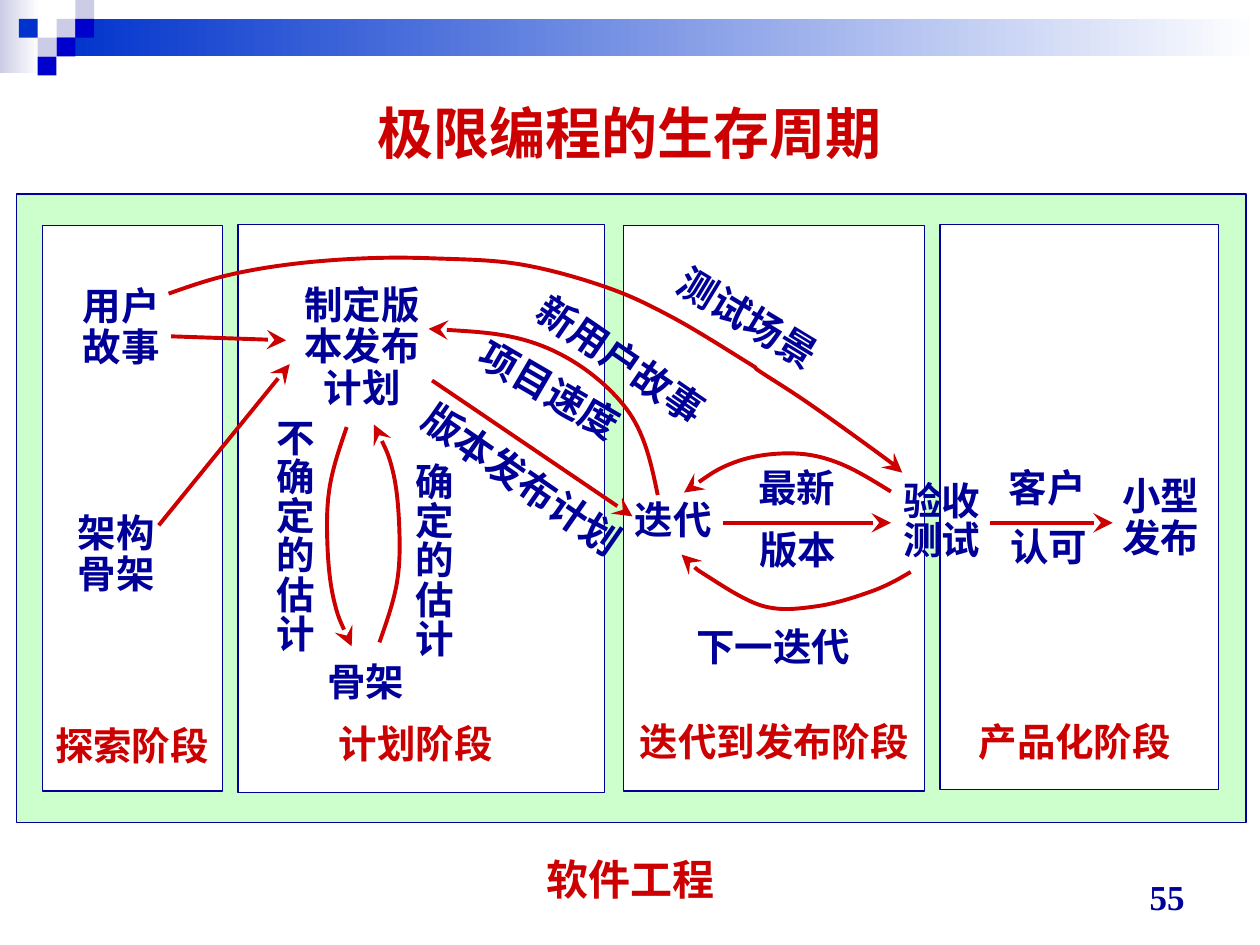
from dataclasses import dataclass

from lxml import etree
from pptx import Presentation
from pptx import util as u
from pptx.dml.color import RGBColor
from pptx.enum import shapes, text
from pptx.oxml.ns import qn


@dataclass(frozen=True)
class Theme:
    red: str = "CC0000"
    navy: str = "000099"
    green: str = "CCFFCC"
    white: str = "FFFFFF"
    lavender: str = "CCCCE6"
    blue: str = "0000CC"
    band: str = "0033CC"
    font: str = "Arial"
    alt_font: str = "Cabin"
    number_font: str = "Times New Roman"
    title: int = 32
    label: int = 22
    footer: int = 24
    number: int = 20
    border: float = 0.75
    arrow: float = 2.25


THEME = Theme()
CELL = 0.38
LINE_H = 1.04

PHASE_BOXES = [
    (4.8, 4.52, 7.39, 11.46), (0.86, 4.55, 3.63, 11.4),
    (12.57, 4.55, 6.07, 11.4), (18.95, 4.52, 5.61, 11.4),
]
PHASE_NAMES = [
    ("探索阶段", 0.86, 14.58, 3.91), ("计划阶段", 6.58, 14.53, 3.91),
    ("迭代到发布阶段", 12.65, 14.5, 6.45), ("产品化阶段", 19.48, 14.5, 4.8),
]
TWO_LINE_STEPS = [
    (["用户", "故事"], 1.42, 5.66), (["架构", "骨架"], 1.32, 10.24),
    (["小型", "发布"], 22.38, 9.5),
]
STEPS = [
    ("骨架", 6.35, 13.28), ("客户", 20.09, 9.37), ("认可", 20.12, 10.57),
    ("迭代", 12.55, 10.01), ("最新", 15.04, 9.37), ("版本", 15.06, 10.62),
]
FLOW_NAMES = [
    ("测试场景", 13.23, 6.02, 3.94, 31.3, THEME.font),
    ("下一迭代", 13.79, 12.57, 3.94, 0, THEME.font),
    ("新用户故事", 10.29, 6.83, 4.55, 34.6, THEME.font),
    ("项目速度", 9.19, 7.62, 4.55, 30.2, THEME.font),
    ("版本发布计划", 7.9, 9.25, 5.36, 34.7, THEME.alt_font),
]
STRAIGHT_FLOWS = [
    (14.58, 10.54, 17.96, 10.54), (19.96, 10.54, 22.43, 10.54),
    (3.45, 6.78, 5.77, 6.86), (8.71, 7.67, 12.75, 10.41),
    (3.2, 10.59, 5.84, 7.34),
]
CURVED_FLOWS = [
    [(7.65, 12.95), (8, 11.76), (8.05, 10.64), (7.92, 9.5), (7.54, 8.56)],
    [(6.99, 8.61), (6.65, 9.8), (6.6, 10.95), (6.73, 12.09), (7.09, 13.03)],
    [(18.36, 11.53), (17.6, 11.91), (16.48, 12.22), (15.39, 12.22),
     (14.25, 11.61), (13.74, 11.18)],
    [(17.96, 9.91), (16.87, 9.32), (15.9, 9.14), (14.81, 9.32), (13.79, 9.93)],
    [(13.26, 9.98), (12.62, 8.23), (10.97, 6.99), (8.64, 6.63)],
    [(3.4, 5.92), (4.55, 5.56), (5.84, 5.33), (7.32, 5.21), (8.76, 5.21),
     (10.49, 5.33), (12.22, 5.79), (13.56, 6.4), (15.09, 7.32),
     (15.32, 7.49), (16.33, 8.15), (17.86, 9.25), (18.19, 9.53)],
]


def rgb(color):
    return RGBColor.from_string(color)


def add_run(paragraph, words, size, color, font=THEME.font):
    run = paragraph.add_run()
    run.text = words
    run.font.size = u.Pt(size)
    run.font.bold = True
    run.font.name = font
    run.font.color.rgb = rgb(color)


def add_box(slide, place, fill, border=None):
    """Rectangle; a pair of fill colours makes a left-to-right gradient."""
    box = slide.shapes.add_shape(shapes.MSO_SHAPE.RECTANGLE, *map(u.Cm, place))
    box.shadow.inherit = False
    if isinstance(fill, tuple):
        box.fill.gradient()
        box.fill.gradient_angle = 0
        for stop, color in zip(box.fill.gradient_stops, fill):
            stop.color.rgb = rgb(color)
    else:
        box.fill.solid()
        box.fill.fore_color.rgb = rgb(fill)
    if border:
        box.line.color.rgb = rgb(border)
        box.line.width = u.Pt(THEME.border)
    else:
        box.line.fill.background()


def add_label(slide, lines, place, color=THEME.navy, size=THEME.label,
              font=THEME.font, spacing=0.85, align=text.PP_ALIGN.LEFT,
              anchor=text.MSO_ANCHOR.TOP, turn=0):
    label = slide.shapes.add_textbox(*map(u.Cm, place))
    label.rotation = turn
    frame = label.text_frame
    frame.word_wrap = True
    frame.vertical_anchor = anchor
    for i, words in enumerate(lines):
        paragraph = frame.add_paragraph() if i else frame.paragraphs[0]
        paragraph.alignment = align
        paragraph.line_spacing = spacing
        add_run(paragraph, words, size, color, font)


def style_arrow(flow):
    flow.line.color.rgb = rgb(THEME.red)
    flow.line.width = u.Pt(THEME.arrow)
    etree.SubElement(flow.line._get_or_add_ln(), qn("a:tailEnd"),
                     type="stealth", w="lg", len="lg")


def add_straight_flow(slide, ends):
    flow = slide.shapes.add_connector(shapes.MSO_CONNECTOR.STRAIGHT,
                                      *map(u.Cm, ends))
    style_arrow(flow)
    etree.SubElement(flow._element.spPr, qn("a:effectLst"))


def bezier_segments(knots):
    """Control points and end of each piece of a smooth curve through knots."""
    last = len(knots) - 1

    def handle(i, sign):
        before, after = knots[i - 1], knots[i + 1]
        return [k + sign * (b - a) / 6
                for k, a, b in zip(knots[i], before, after)]

    def middle(a, b):
        return [(p + q) / 2 for p, q in zip(a, b)]

    for i in range(last):
        leave = handle(i, 1) if i else middle(knots[0], handle(1, -1))
        arrive = (handle(i + 1, -1) if i + 1 < last
                  else middle(knots[last], leave))
        yield leave, arrive, knots[i + 1]


def add_curved_flow(slide, knots):
    points = [(u.Cm(x), u.Cm(y)) for x, y in knots]
    builder = slide.shapes.build_freeform(*points[0])
    builder.add_line_segments(points[1:], close=False)
    flow = builder.convert_to_shape()
    flow.shadow.inherit = False
    flow.fill.background()
    style_arrow(flow)
    outline = flow._element.spPr.find(".//" + qn("a:path"))
    local = [(int(p.get("x")), int(p.get("y")))
             for p in outline.iter(qn("a:pt"))]
    for straight in outline.findall(qn("a:lnTo")):
        outline.remove(straight)
    for segment in bezier_segments(local):
        curve = etree.SubElement(outline, qn("a:cubicBezTo"))
        for x, y in segment:
            etree.SubElement(curve, qn("a:pt"), x=str(round(x)), y=str(round(y)))


def add_banner(slide):
    add_box(slide, (0, 0, 0.79, 1.47), (THEME.lavender, THEME.white))
    add_box(slide, (3 * CELL, CELL, 25.4 - 3 * CELL, 2 * CELL),
            (THEME.band, THEME.white))
    for column, row, color in [
            (3, 1, THEME.lavender), (4, 0, THEME.lavender), (4, 1, THEME.blue),
            (2, 2, THEME.lavender), (1, 1, THEME.band), (3, 2, THEME.blue),
            (2, 3, THEME.blue)]:
        add_box(slide, (column * CELL, row * CELL, CELL, CELL), color)


def add_title(slide, words):
    title = slide.shapes.title
    title.left, title.top, title.width, title.height = map(
        u.Cm, (1.27, 1.65, 22.86, 2.01))
    title.text_frame.vertical_anchor = text.MSO_ANCHOR.MIDDLE
    paragraph = title.text_frame.paragraphs[0]
    paragraph.alignment = text.PP_ALIGN.CENTER
    add_run(paragraph, words, THEME.title, THEME.red)


def add_labels(slide):
    for lines, x, y in TWO_LINE_STEPS:
        add_label(slide, lines, (x, y, 2.21, 1.93), spacing=0.9)
    add_label(slide, ["制定版本发布", "计划"], (5.79, 5.64, 3.02, 2.77),
              spacing=0.9, align=text.PP_ALIGN.CENTER)
    add_label(slide, ["不", "确定的估计"], (5.33, 8.36, 1.4, 5))
    add_label(slide, ["确定的估计"], (8.13, 9.25, 1.4, 4.22))
    add_label(slide, ["验收测试"], (17.96, 9.63, 2.18, 1.85))
    for words, x, y in STEPS:
        add_label(slide, [words], (x, y, 2.18, LINE_H))
    for words, x, y, width in PHASE_NAMES:
        add_label(slide, [words], (x, y, width, LINE_H), THEME.red)
    for words, x, y, width, turn, font in FLOW_NAMES:
        add_label(slide, [words], (x, y, width, LINE_H), font=font, turn=turn)


def main():
    deck = Presentation()
    deck.slide_width, deck.slide_height = u.Cm(25.4), u.Cm(19.05)
    slide = deck.slides.add_slide(deck.slide_layouts[5])
    add_banner(slide)
    add_title(slide, "极限编程的生存周期")
    add_box(slide, (0.33, 3.91, 24.79, 12.67), THEME.green, THEME.navy)
    for place in PHASE_BOXES:
        add_box(slide, place, THEME.white, THEME.navy)
    add_labels(slide)
    for ends in STRAIGHT_FLOWS:
        add_straight_flow(slide, ends)
    for knots in CURVED_FLOWS:
        add_curved_flow(slide, knots)
    add_label(slide, ["软件工程"], (8.69, 17.07, 8.05, 1.27), THEME.red,
              THEME.footer, spacing=1, align=text.PP_ALIGN.CENTER,
              anchor=text.MSO_ANCHOR.BOTTOM)
    add_label(slide, ["55"], (18.21, 17.35, 5.92, 1.27), size=THEME.number,
              font=THEME.number_font, spacing=1, align=text.PP_ALIGN.RIGHT,
              anchor=text.MSO_ANCHOR.BOTTOM)
    deck.save("out.pptx")


if __name__ == "__main__":
    main()
